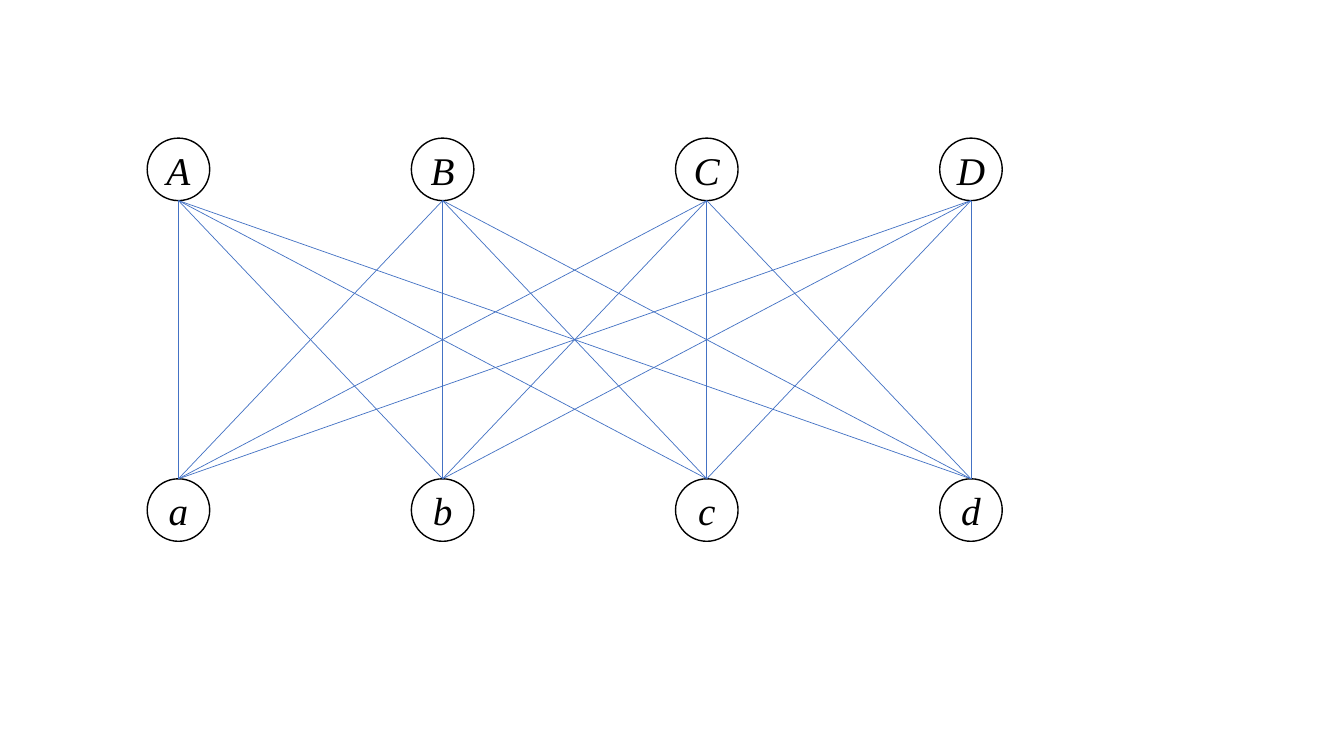
from pptx import Presentation
from pptx.dml.color import RGBColor
from pptx.enum.shapes import MSO_CONNECTOR, MSO_SHAPE
from pptx.enum.text import MSO_ANCHOR, PP_ALIGN
from pptx.oxml.ns import qn
from pptx.util import Inches, Pt

OVAL = MSO_SHAPE.OVAL
LINE = MSO_CONNECTOR.STRAIGHT
MIDDLE = MSO_ANCHOR.MIDDLE
CENTER = PP_ALIGN.CENTER

COLORS = {"ink": "000000", "edge": "4472C4"}
FONT = "Times New Roman"
BOTTOM = 4  # an ellipse has eight sites, counted from the top

# Grid of nodes
LEFT, STEP, SIZE = 1.46, 2.62, 0.62
UPPER, LOWER = 1.37, 4.75


class Graph:
    def __init__(self, slide):
        self.shapes = slide.shapes

    def color(self, name):
        return RGBColor.from_string(COLORS[name])

    def node(self, label, x, y):
        node = self.shapes.add_shape(
            OVAL, Inches(x), Inches(y), Inches(SIZE), Inches(SIZE))
        node.shadow.inherit = False
        node.fill.background()
        node.line.color.rgb = self.color("ink")
        node.line.width = Pt(1)
        frame = node.text_frame
        frame.word_wrap = False
        frame.vertical_anchor = MIDDLE
        frame.margin_left = frame.margin_right = 0
        frame.margin_top = frame.margin_bottom = 0
        para = frame.paragraphs[0]
        para.text = label
        para.alignment = CENTER
        para.font.name = FONT
        para.font.size = Pt(28)
        para.font.italic = True
        para.font.color.rgb = self.color("ink")
        return node

    def row(self, labels, y):
        return [self.node(label, LEFT + i * STEP, y)
                for i, label in enumerate(labels)]

    def edge(self, top, low):
        edge = self.shapes.add_connector(LINE, 0, 0, 0, 0)
        edge.begin_connect(top, 2)
        edge.end_connect(low, 0)
        # Site 2 of a rectangle is its bottom; on an ellipse that is site 4
        edge._element.find(".//" + qn("a:stCxn")).set("idx", str(BOTTOM))
        edge.line.color.rgb = self.color("edge")
        edge.line.width = Pt(0.5)
        props = edge._element.spPr
        props.append(props.makeelement(qn("a:effectLst"), {}))


def main():
    deck = Presentation()
    deck.slide_width, deck.slide_height = Inches(13.33), Inches(7.5)
    graph = Graph(deck.slides.add_slide(deck.slide_layouts[6]))

    # Two rows of nodes
    tops = graph.row("ABCD", UPPER)
    lows = graph.row("abcd", LOWER)

    # Every upper node meets every lower node
    for top in tops:
        for low in lows:
            graph.edge(top, low)

    deck.save("out.pptx")


if __name__ == "__main__":
    main()
